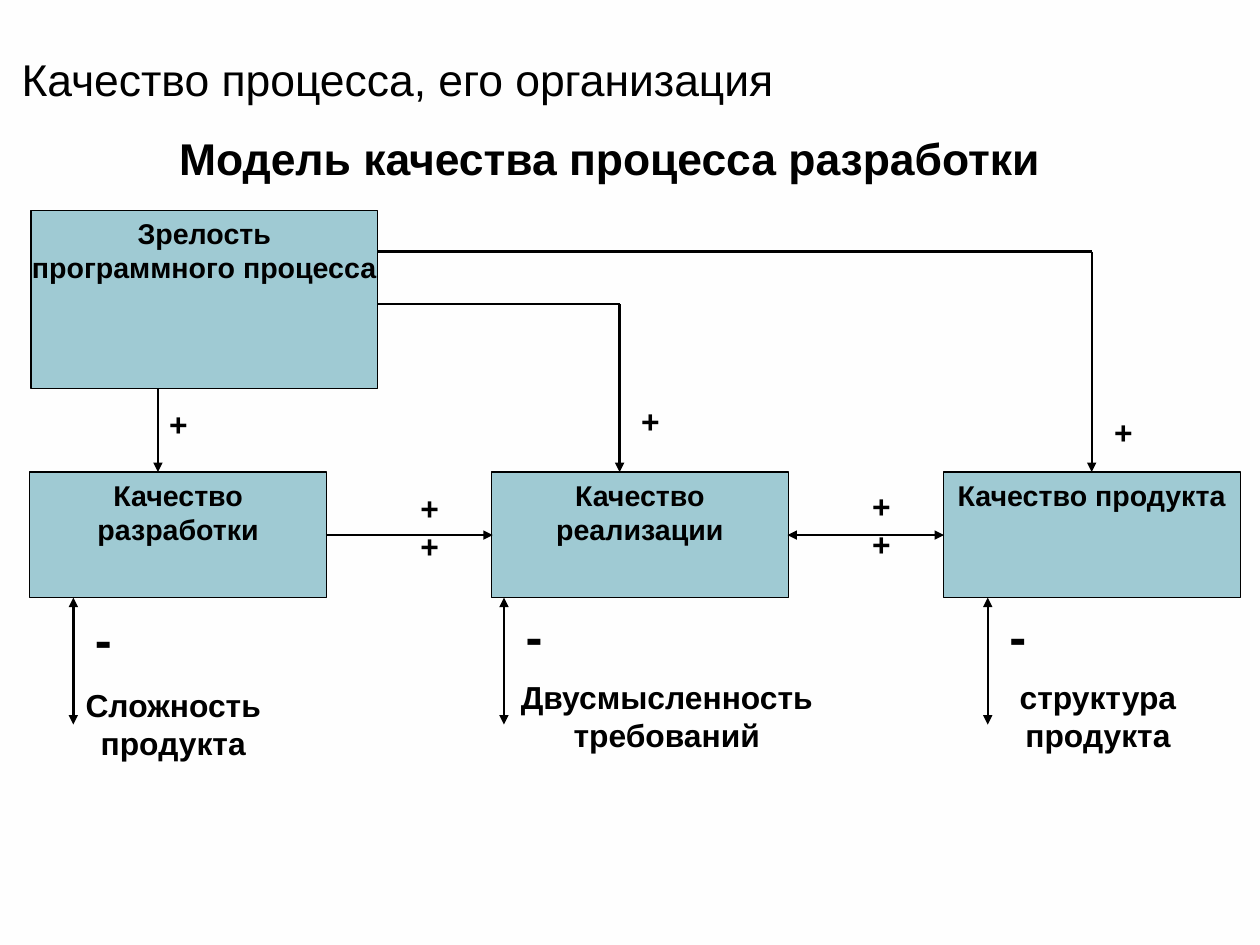
from lxml import etree
from pptx import Presentation
from pptx import util as u
from pptx.dml import color
from pptx.enum import shapes, text
from pptx.oxml import ns

HUES = {"ink": "000000", "box": "9FCAD3", "top": "FEFEFE", "base": "FFFFFF"}
ROW, BASE, WIDE, TALL = 10.49, 13.28, 6.6, 2.79
STAGES = [
    ("Качество разработки", 0.66, 1.78),
    ("Качество реализации", 10.92, 1.78),
    ("Качество продукта", 20.96, 1.02),
]
GAINS = [(3.51, 8.86), (14, 8.81), (24.51, 9.04)]
FACTORS = [
    ("Сложность продукта", 0.23, 15.11, 1.63, 13.39),
    ("Двусмысленность требований", 11.2, 14.94, 11.2, 13.31),
    ("структура продукта", 20.78, 14.94, 21.95, 13.31),
]
LINKS = [(7.24, 10.95, False, 9.09, 10.74), (17.5, 20.98, True, 19.13, 10.69)]


def hue(name):
    return color.RGBColor.from_string(HUES[name])


def paint(slide):
    fill = slide.background.fill
    fill.gradient()
    fill.gradient_angle = 270
    for stop, name in zip(fill.gradient_stops, ("top", "base")):
        stop.color.rgb = hue(name)


def write(slide, words, x, y, w, h, size, bold=True, mid=True):
    box = slide.shapes.add_textbox(u.Cm(x), u.Cm(y), u.Cm(w), u.Cm(h))
    frame = box.text_frame
    frame.word_wrap = True
    frame.text = words
    para = frame.paragraphs[0]
    para.alignment = text.PP_ALIGN.CENTER if mid else text.PP_ALIGN.LEFT
    font = para.runs[0].font
    font.name, font.size, font.bold = "Arial", u.Pt(size), bold
    font.color.rgb = hue("ink")
    return frame


def block(slide, x, y, w, h):
    rect = slide.shapes.add_shape(
        shapes.MSO_SHAPE.RECTANGLE, u.Cm(x), u.Cm(y), u.Cm(w), u.Cm(h))
    rect.shadow.inherit = False
    rect.fill.solid()
    rect.fill.fore_color.rgb = hue("box")
    rect.line.color.rgb = hue("ink")
    rect.line.width = u.Pt(0.75)


def line(slide, x1, y1, x2, y2, head=False, tail=False):
    link = slide.shapes.add_connector(
        shapes.MSO_CONNECTOR.STRAIGHT, u.Cm(x1), u.Cm(y1), u.Cm(x2), u.Cm(y2))
    link.line.color.rgb = hue("ink")
    link.line.width = u.Pt(1.5)
    props = link.line._get_or_add_ln()
    for tag, shown in (("a:headEnd", head), ("a:tailEnd", tail)):
        if shown:
            etree.SubElement(props, ns.qn(tag), type="triangle")
    etree.SubElement(link._element.spPr, ns.qn("a:effectLst"))


def sign(slide, mark, x, y, h, size=20):
    write(slide, mark, x, y, 0.94, h, size, mid=False)


def main():
    deck = Presentation()
    deck.slide_width, deck.slide_height = u.Cm(28), u.Cm(21)
    slide = deck.slides.add_slide(deck.slide_layouts[6])
    paint(slide)

    title = write(slide, "Качество процесса, его организация",
                  0.23, 0.23, 27.76, 3.02, 28, bold=False, mid=False)
    title.vertical_anchor = text.MSO_ANCHOR.MIDDLE
    write(slide, "Модель качества процесса разработки", 2.11, 2.79, 22.86, 1.45, 28)

    block(slide, 0.69, 4.67, 7.7, 3.97)
    write(slide, "Зрелость программного процесса", 0.46, 4.67, 8.16, 2.54, 18)
    for words, x, h in STAGES:
        block(slide, x, ROW, WIDE, TALL)
        write(slide, words, x - 0.19, ROW, WIDE + 0.38, h, 18)

    line(slide, 3.51, 8.64, 3.51, ROW, tail=True)
    for x, y in ((13.77, 6.76), (24.26, 5.59)):
        line(slide, 8.4, y, x, y)
        line(slide, x, y, x, ROW, tail=True)
    for x, y in GAINS:
        sign(slide, "+", x, y, 1.12)

    for x1, x2, both, x, y in LINKS:
        line(slide, x1, 11.89, x2, 11.89, head=both, tail=True)
        sign(slide, "++", x, y, 1.96)

    for words, x, y, stem, top in FACTORS:
        line(slide, stem, 16.1, stem, BASE, head=True, tail=True)
        sign(slide, "-", stem + 0.23, top, 1.63, 32)
        write(slide, words, x, y, 7.24, 1.96, 20)

    deck.save("out.pptx")


if __name__ == "__main__":
    main()
